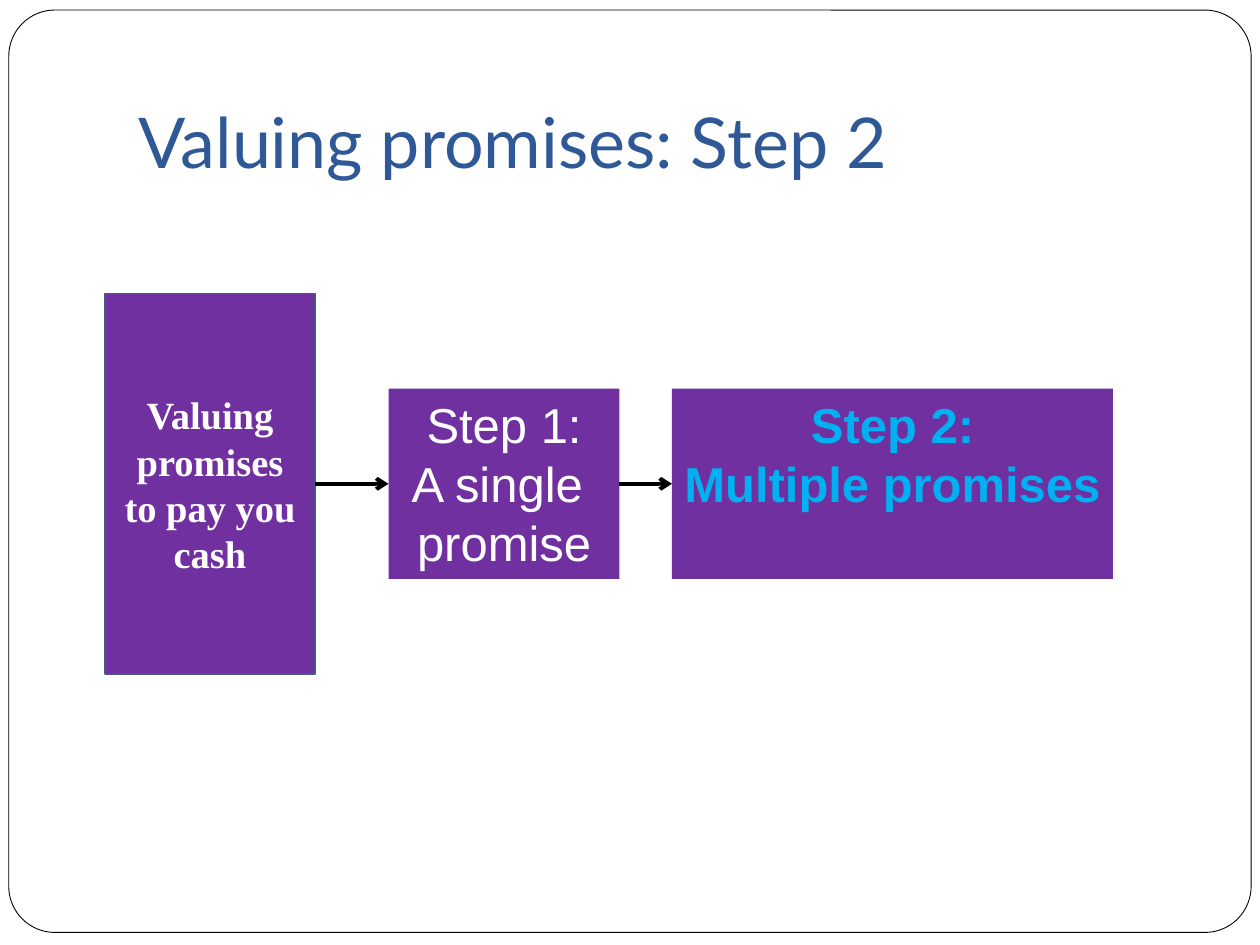
from lxml.etree import SubElement
from pptx import Presentation
from pptx.dml.color import RGBColor
from pptx.enum.shapes import MSO_CONNECTOR, MSO_SHAPE
from pptx.enum.text import MSO_ANCHOR, PP_ALIGN
from pptx.oxml.ns import qn
from pptx.util import Inches, Pt

COLORS = {
    "paper": "FFFFFF", "ink": "000000", "title": "2F5897",
    "box": "7030A0", "edge": "475785", "light": "FFFFFF", "current": "00B0F0",
}
WIDTH, HEIGHT = 10, 7.5
COLUMN = WIDTH / 12
MIDDLE = 3.84  # shared centre line of the flow


def color(name):
    return RGBColor.from_string(COLORS[name])


def add_span(para, text, font, size, ink, bold=False):
    span = para.add_run()
    span.text = text
    span.font.name, span.font.size, span.font.bold = font, Pt(size), bold
    span.font.color.rgb = color(ink)


def add_panel(page, kind, area, fill, line=None, line_width=1):
    panel = page.shapes.add_shape(kind, *map(Inches, area))
    panel.shadow.inherit = False
    panel.fill.solid()
    panel.fill.fore_color.rgb = color(fill)
    if line:
        panel.line.color.rgb = color(line)
        panel.line.width = Pt(line_width)
    else:
        panel.line.fill.background()
    return panel


def add_frame(page, area):
    """Rounded page border, placed behind everything else."""
    frame = add_panel(page, MSO_SHAPE.ROUNDED_RECTANGLE, area, "paper", "ink", 0.5)
    frame.adjustments[0] = 0.05
    page.shapes._spTree.insert(2, frame._element)


def add_title(page, area, text):
    title = page.shapes.title
    title.left, title.top, title.width, title.height = map(Inches, area)
    frame = title.text_frame
    frame.word_wrap = True
    frame.vertical_anchor = MSO_ANCHOR.BOTTOM
    frame.margin_bottom = Inches(0.1)
    para = frame.paragraphs[0]
    para.alignment = PP_ALIGN.LEFT
    add_span(para, text, "Lato", 40, "title")


def add_box(page, column, columns, height, lines, font, size, ink,
            bold=False, line=None, anchor=MSO_ANCHOR.TOP, wrap=False):
    """Flow box on the column grid, centred on the middle line."""
    area = (column * COLUMN, MIDDLE - height / 2, columns * COLUMN, height)
    box = add_panel(page, MSO_SHAPE.RECTANGLE, area, "box", line)
    frame = box.text_frame
    frame.word_wrap = wrap
    frame.vertical_anchor = anchor
    for index, text in enumerate(lines):
        para = frame.add_paragraph() if index else frame.paragraphs[0]
        para.alignment = PP_ALIGN.CENTER
        add_span(para, text, font, size, ink, bold)
    return box


def add_arrow(page, start, end):
    """Arrow from the right side of one box to the left side of the next."""
    arrow = page.shapes.add_connector(MSO_CONNECTOR.STRAIGHT, 0, 0, 0, 0)
    arrow.begin_connect(start, 3)
    arrow.end_connect(end, 1)
    arrow.line.color.rgb = color("ink")
    arrow.line.width = Pt(2.25)
    SubElement(arrow.line._get_or_add_ln(), qn("a:tailEnd"), type="arrow")
    SubElement(arrow._element.spPr, qn("a:effectLst"))


def add_flow(page):
    boxes = [
        add_box(page, 1, 2, 3.02, ["Valuing promises to pay you cash"],
                "Times New Roman", 22, "light", bold=True, line="edge",
                anchor=MSO_ANCHOR.MIDDLE, wrap=True),
        add_box(page, 3.7, 2.2, 1.51, ["Step 1:", "A single ", "promise"],
                "Arial", 28, "light"),
        add_box(page, 6.4, 4.2, 1.51, ["Step 2:", "Multiple promises"],
                "Arial", 28, "current", bold=True),
    ]
    for start, end in zip(boxes, boxes[1:]):
        add_arrow(page, start, end)


def main():
    deck = Presentation()
    deck.slide_width, deck.slide_height = Inches(WIDTH), Inches(HEIGHT)
    page = deck.slides.add_slide(deck.slide_layouts[5])
    add_frame(page, (0.07, 0.08, 9.86, 7.32))
    add_title(page, (1, 0.3, 8.5, 1.25), "Valuing promises: Step 2")
    add_flow(page)
    deck.save("out.pptx")


if __name__ == "__main__":
    main()
